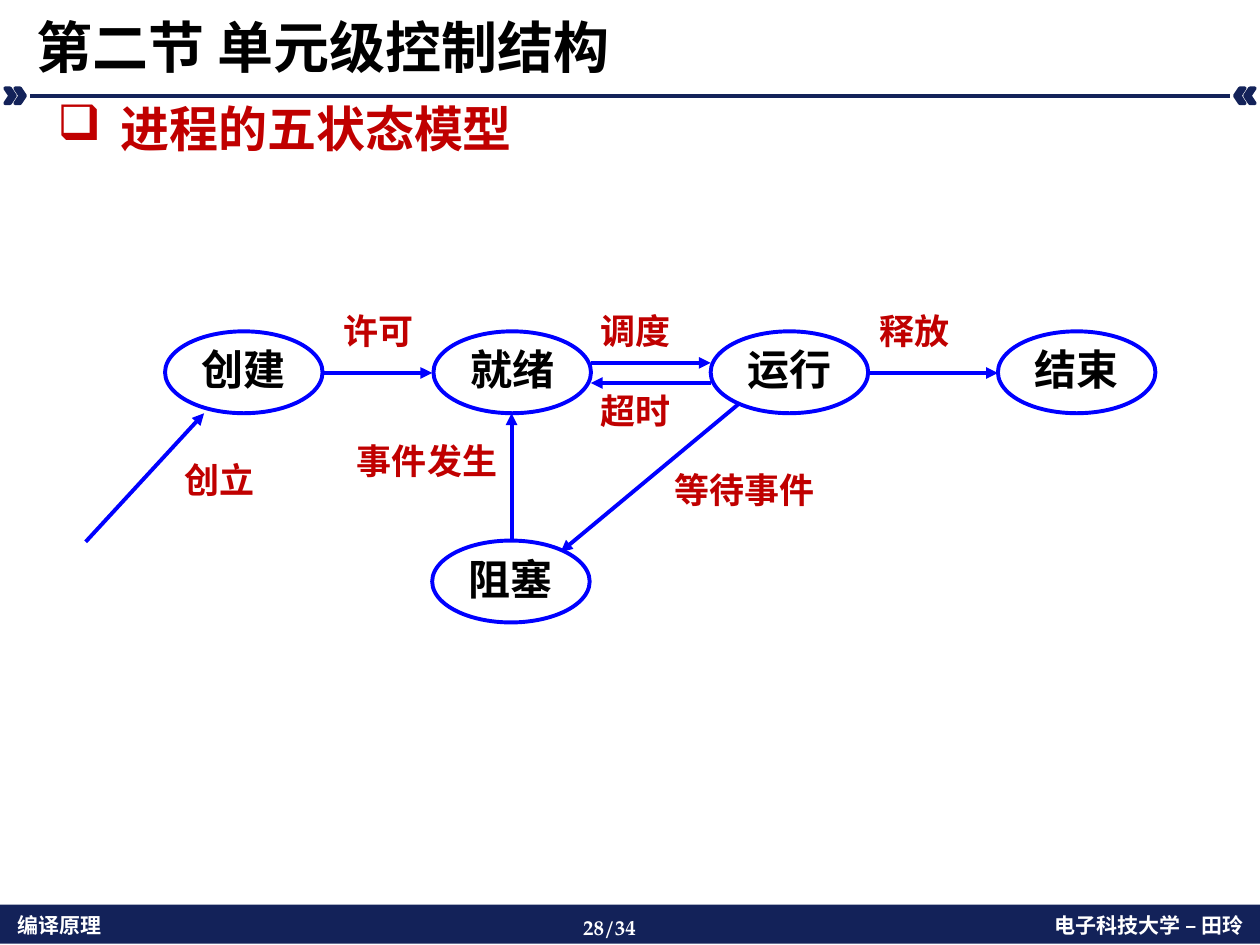
from lxml import etree
from pptx import Presentation
from pptx.dml.color import RGBColor
from pptx.enum.shapes import MSO_CONNECTOR, MSO_SHAPE
from pptx.enum.text import MSO_ANCHOR, MSO_AUTO_SIZE, PP_ALIGN
from pptx.oxml.ns import qn
from pptx.util import Inches, Pt

LEFT, CENTER, RIGHT = PP_ALIGN.LEFT, PP_ALIGN.CENTER, PP_ALIGN.RIGHT
STRAIGHT = MSO_CONNECTOR.STRAIGHT
SANS, SERIF = "Noto Sans CJK SC", "TeX Gyre Pagella"
NAVY, BLUE, RED, BLACK, WHITE = "132259", "0000FF", "C00000", "000000", "FFFFFF"
COLUMNS = 100

deck = Presentation()
deck.slide_width, deck.slide_height = Inches(10), Inches(7.5)
page = deck.slides.add_slide(deck.slide_layouts[5])
shapes = page.shapes
color = RGBColor.from_string


def place(*cells):
    return [round(cell * deck.slide_width / COLUMNS) for cell in cells]


def write(box, text, size, ink, align=LEFT, face=SANS, anchor=MSO_ANCHOR.TOP):
    frame = box.text_frame
    frame.word_wrap = True
    frame.auto_size = MSO_AUTO_SIZE.NONE
    frame.vertical_anchor = anchor
    para = frame.paragraphs[0]
    para.text = text
    para.alignment = align
    font = para.font
    font.name, font.size, font.bold = face, Pt(size), True
    font.color.rgb = color(ink)
    etree.SubElement(font._element, qn("a:ea")).set("typeface", face)
    return para


footer = shapes.add_shape(MSO_SHAPE.RECTANGLE, *place(0, 71.8, 100, 3.1))
footer.shadow.inherit = False
footer.fill.solid()
footer.fill.fore_color.rgb = color(NAVY)
footer.line.fill.background()

for left, top, width, text, align, face in [
    (0.4, 71.9, 29.4, "编译原理", LEFT, SANS),
    (69.8, 71.9, 29.9, "电子科技大学 – 田玲", RIGHT, SANS),
    (45.3, 72.1, 9.4, "28/34", LEFT, SERIF),
]:
    box = shapes.add_textbox(*place(left, top, width, 3))
    write(box, text, 12, WHITE, align, face)

for left, flipped in [(0.4, False), (1.2, False), (98, True), (98.8, True)]:
    chevron = shapes.add_shape(MSO_SHAPE.CHEVRON, *place(left, 7, 0.8, 1.2))
    chevron.shadow.inherit = False
    chevron.fill.solid()
    chevron.fill.fore_color.rgb = color(NAVY)
    chevron.line.color.rgb = color(NAVY)
    chevron.line.width = Pt(2)
    if flipped:
        chevron._element.spPr.find(qn("a:xfrm")).set("flipH", "1")

title = shapes.title
title.left, title.top, title.width, title.height = place(1.9, 0.5, 96.1, 6.4)
para = write(title, "第二节 单元级控制结构", 32, BLACK, anchor=MSO_ANCHOR.BOTTOM)
para.line_spacing = 0.9

for left, top, text in [
    (13.1, 26.3, "创建"),
    (34.4, 26.3, "就绪"),
    (56.4, 26.3, "运行"),
    (79.2, 26.3, "结束"),
    (34.3, 42.9, "阻塞"),
]:
    state = shapes.add_shape(MSO_SHAPE.OVAL, *place(left, top, 12.5, 6.5))
    state.shadow.inherit = False
    state.fill.background()
    state.line.color.rgb = color(BLUE)
    state.line.width = Pt(2.25)
    para = write(state, text, 24, BLACK, CENTER, anchor=MSO_ANCHOR.MIDDLE)
    para.line_spacing = 0.9
    state.text_frame.margin_left = state.text_frame.margin_right = 0

rule = (2.4, 7.6, 97.6, 7.6)
transitions = [
    (6.8, 43, 16.2, 32.8),
    (25.7, 29.6, 34.3, 29.6),
    (46.9, 28.8, 56.4, 28.8),
    (69, 29.6, 79.2, 29.6),
    (40.6, 43, 40.6, 32.8),
    (56.4, 30.4, 46.9, 30.4),
    (58.7, 32, 44.5, 43.8),
]
for ends in [rule, *transitions]:
    line = shapes.add_connector(STRAIGHT, *place(*ends))
    line.line.color.rgb = color(NAVY if ends is rule else BLUE)
    line.line.width = Pt(2 if ends is rule else 2.25)
    if ends is not rule:
        etree.SubElement(line.line._get_or_add_ln(), qn("a:tailEnd")).set("type", "triangle")
    etree.SubElement(line._element.spPr, qn("a:effectLst"))

for left, top, width, text in [
    (13.1, 35.9, 8.7, "创立"),
    (25.7, 24.1, 8.7, "许可"),
    (46.1, 24.1, 8.7, "调度"),
    (46.1, 30.4, 8.7, "超时"),
    (68.2, 24.1, 8.7, "释放"),
    (52.4, 36.7, 13.4, "等待事件"),
    (27.2, 34.4, 13.4, "事件发生"),
]:
    label = shapes.add_textbox(*place(left, top, width, 4.7))
    write(label, text, 20, RED, CENTER)

heading = shapes.add_shape(MSO_SHAPE.ROUNDED_RECTANGLE, *place(3.3, 7.6, 93.2, 5.8))
heading.shadow.inherit = False
heading.fill.background()
heading.line.fill.background()
properties = heading.text_frame.paragraphs[0]._p.get_or_add_pPr()
properties.set("marL", str(Inches(0.5)))
properties.set("indent", str(-Inches(0.5)))
etree.SubElement(properties, qn("a:buChar")).set("char", "❑")
para = write(heading, "进程的五状态模型", 28, RED)
para.line_spacing = 0.9

deck.save("out.pptx")
